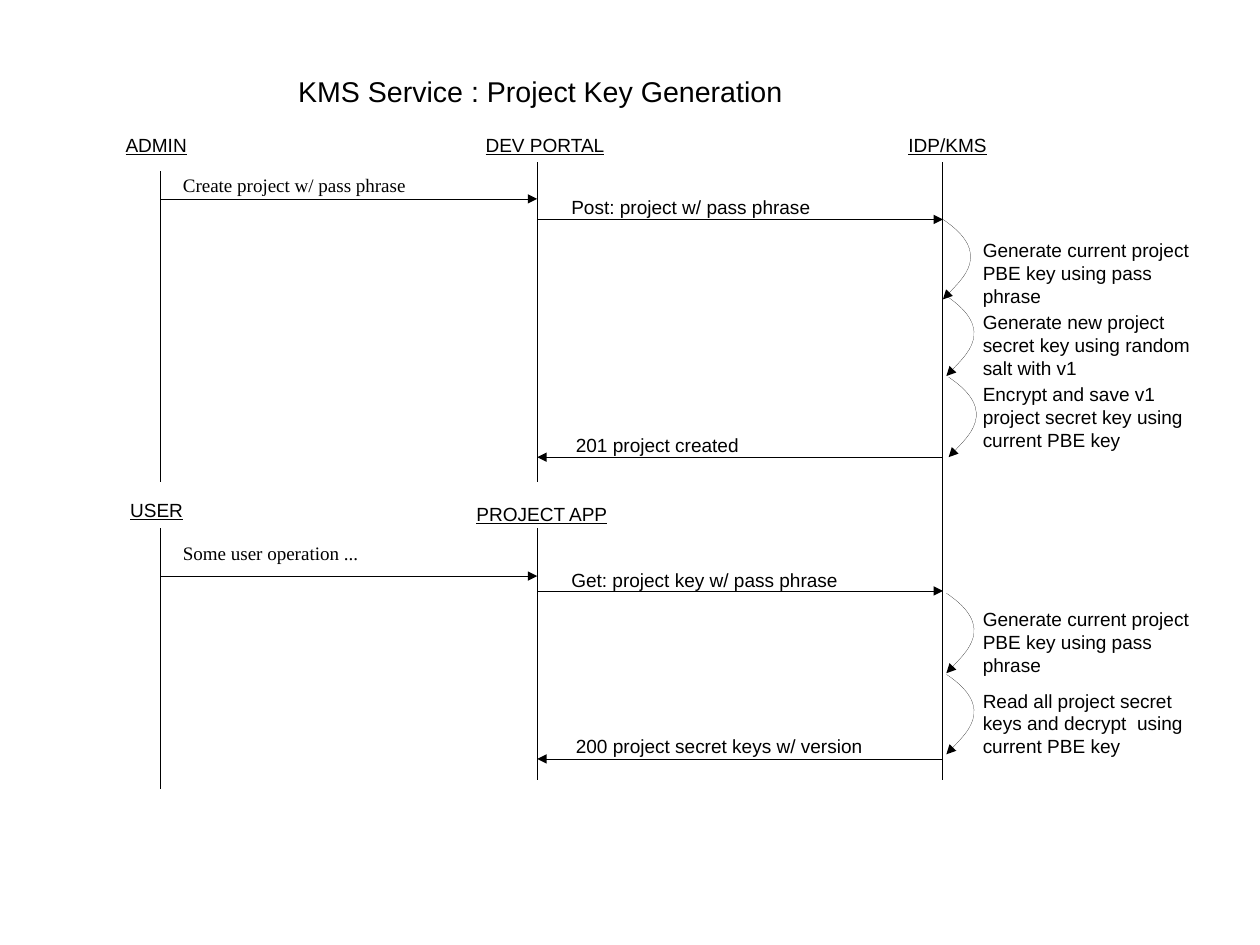
from lxml import etree
from pptx import Presentation
from pptx.dml.color import RGBColor
from pptx.enum.shapes import MSO_CONNECTOR, MSO_SHAPE
from pptx.enum.text import MSO_AUTO_SIZE
from pptx.oxml.ns import qn
from pptx.util import Cm, Inches, Pt

BLACK = RGBColor(0, 0, 0)
WHITE = RGBColor(255, 255, 255)

# Columns of the sequence diagram, in inches
CLIENT, PORTAL, KMS = 1.4, 4.7, 8.25
STEP_LEFT, STEP_WIDTH, STEP_HEIGHT = 8.5, 2.2, 0.66
CURVE_WIDTH, CURVE_HEIGHT = 0.2, 0.7

presentation = Presentation()
presentation.slide_width = Cm(28)
presentation.slide_height = Cm(21)
slide = presentation.slides.add_slide(presentation.slide_layouts[6])


def add_text(text, left, top, width, height=0.29, size=12, font="Arial",
             underline=False, inset=True):
    box = slide.shapes.add_textbox(*map(Inches, (left, top, width, height)))
    frame = box.text_frame
    frame.word_wrap = True
    frame.auto_size = MSO_AUTO_SIZE.SHAPE_TO_FIT_TEXT
    frame.margin_left = frame.margin_right = Inches(0.1 if inset else 0)
    frame.margin_top = frame.margin_bottom = Inches(0.05 if inset else 0)
    run = frame.paragraphs[0].add_run()
    run.text = text
    run.font.name = font
    run.font.size = Pt(size)
    run.font.underline = underline
    run.font.color.rgb = BLACK


def style_line(shape, color=BLACK, arrow=False):
    shape.line.color.rgb = color
    properties = shape._element.spPr
    line = properties.find(qn("a:ln"))
    line.set("w", "0")  # hairline; a width of zero must be written out
    if arrow:
        etree.SubElement(line, qn("a:tailEnd"), type="triangle")
    etree.SubElement(properties, qn("a:effectLst"))


# Lifelines and messages: start x, start y, end x, end y, arrow
lines = [
    (CLIENT, 1.5, CLIENT, 6.9, False),
    (PORTAL, 1.42, PORTAL, 6.82, False),
    (KMS, 1.42, KMS, 6.82, False),
    (CLIENT, 1.74, PORTAL, 1.74, True),
    (PORTAL, 1.92, KMS, 1.92, True),
    (KMS, 4, PORTAL, 4, True),
    (CLIENT, 5.04, PORTAL, 5.04, True),
    (PORTAL, 5.17, KMS, 5.17, True),
    (KMS, 6.64, PORTAL, 6.64, True),
]
for *ends, arrow in lines:
    connector = slide.shapes.add_connector(MSO_CONNECTOR.STRAIGHT, *map(Inches, ends))
    style_line(connector, arrow=arrow)

# Internal steps of the key service: curve x, curve y, text y, text
steps = [
    (8.25, 1.92, 2.04, "Generate current project PBE key using pass phrase"),
    (8.28, 2.59, 2.67, "Generate new project secret key using random salt with v1"),
    (8.3, 3.3, 3.3, "Encrypt and save v1 project secret key using current PBE key"),
    (8.28, 5.19, 5.27, "Generate current project PBE key using pass phrase"),
    (8.28, 5.9, 5.98, "Read all project secret keys and decrypt  using current PBE key"),
]
for left, top, text_top, text in steps:
    builder = slide.shapes.build_freeform(Inches(left), Inches(top))
    builder.add_line_segments(
        [(Inches(left + CURVE_WIDTH), Inches(top + 0.3)),
         (Inches(left), Inches(top + CURVE_HEIGHT))], close=False)
    curve = builder.convert_to_shape()
    curve.fill.background()
    style_line(curve, arrow=True)
    # Turn the two straight segments into one Bézier curve
    outline = curve._element.spPr.find(".//" + qn("a:path"))
    for segment in outline.findall(qn("a:lnTo")):
        outline.remove(segment)
    bezier = etree.SubElement(outline, qn("a:cubicBezTo"))
    for x, y in ((0.45, 0.3), (0, CURVE_HEIGHT), (0, CURVE_HEIGHT)):
        etree.SubElement(bezier, qn("a:pt"), x=str(Inches(x)), y=str(Inches(y)))
    add_text(text, STEP_LEFT, text_top, STEP_WIDTH, STEP_HEIGHT)

# Message labels
for text, top in (("Create project w/ pass phrase", 1.52),
                  ("Some user operation ...", 4.74)):
    add_text(text, CLIENT + 0.2, top, 2.6, 0.19, font="Times New Roman", inset=False)
for text, left, top, width in (
        ("Post: project w/ pass phrase", 4.9, 1.66, 2.6),
        ("201 project created", 4.94, 3.74, 2.6),
        ("Get: project key w/ pass phrase", 4.9, 4.92, 2.6),
        ("200 project secret keys w/ version", 4.94, 6.38, 2.86)):
    add_text(text, left, top, width)

# Gaps in the lifelines between the two scenarios
for left in (1.2, 4.31):
    gap = slide.shapes.add_shape(
        MSO_SHAPE.RECTANGLE, *map(Inches, (left, 4.22, 0.8, 0.4)))
    gap.fill.solid()
    gap.fill.fore_color.rgb = WHITE
    style_line(gap, WHITE)

# Title and participants
add_text("KMS Service : Project Key Generation", 2.51, 0.6, 6, 0.38, size=18)
for text, left, top, width in (
        ("ADMIN", 1, 1.12, 1),
        ("DEV PORTAL", 4.15, 1.12, 1.5),
        ("IDP/KMS", 7.85, 1.12, 1),
        ("USER", 1.04, 4.31, 1),
        ("PROJECT APP", 4.07, 4.35, 1.46)):
    add_text(text, left, top, width, underline=True)

presentation.save("out.pptx")
